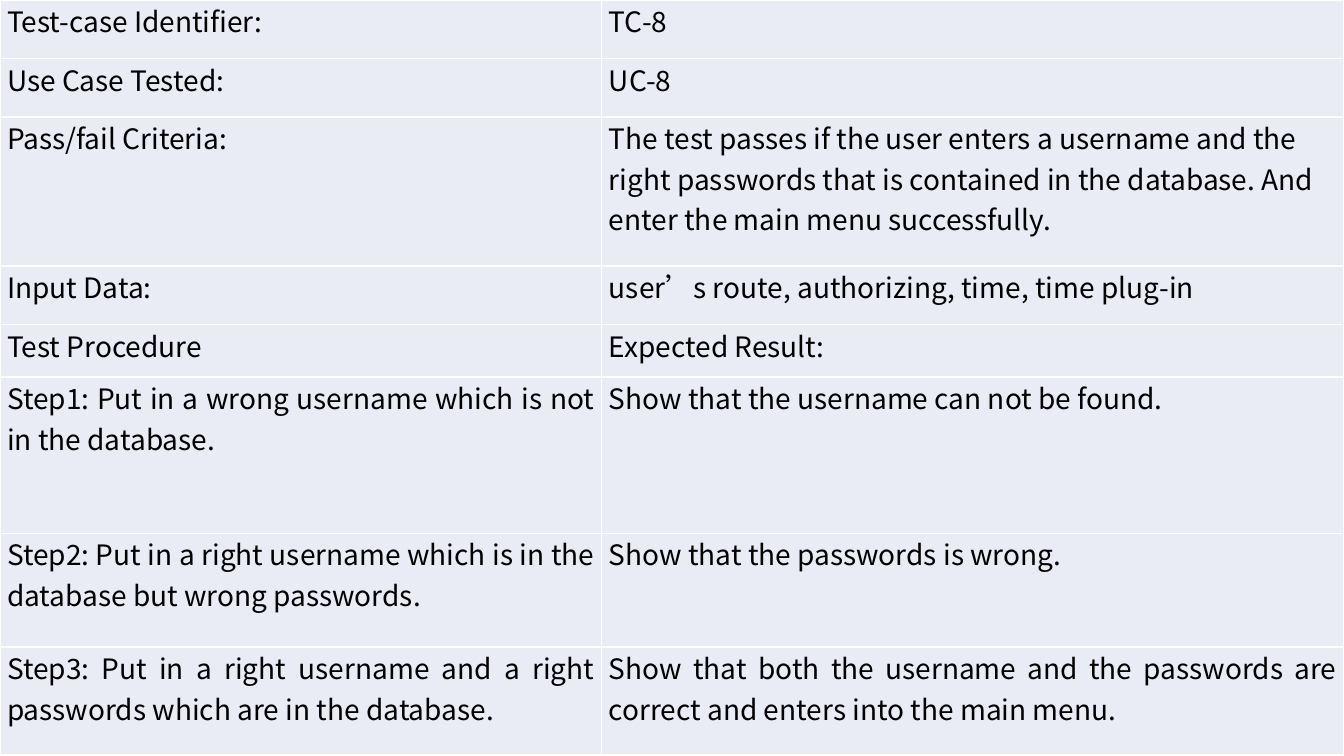
from lxml import etree
from pptx import Presentation
from pptx.dml.color import RGBColor
from pptx.enum.text import PP_ALIGN
from pptx.oxml.ns import qn
from pptx.util import Inches, Pt

JUSTIFY, LEFT = PP_ALIGN.JUSTIFY, PP_ALIGN.LEFT
FONT = "Noto Sans CJK SC"
COLORS = {"text": "000000", "cell": "E9EBF5", "border": "FFFFFF"}
COLUMN_WIDTHS = [5.97, 7.36]
CRITERIA = ("The test passes if the user enters a username and the right passwords "
            "that is contained in the database. And enter the main menu successfully.")

# Row height, field or step, value or expected result
TEST_CASE = [
    (0.58, "Test-case Identifier:", "TC-8"),
    (0.58, "Use Case Tested:", "UC-8"),
    (1.48, "Pass/fail Criteria:", CRITERIA),
    (0.58, "Input Data:", "user’s route, authorizing, time, time plug-in"),
    (0.52, "Test Procedure", "Expected Result:"),
    (1.55, "Step1: Put in a wrong username which is not in the database.",
     "Show that the username can not be found."),
    (1.13, "Step2: Put in a right username which is in the database but wrong passwords.",
     "Show that the passwords is wrong."),
    (1.07, "Step3: Put in a right username and a right passwords which are in the database.",
     "Show that both the username and the passwords are correct "
     "and enters into the main menu."),
]


def add_borders(cell):
    """Draw a thin line on all four sides of a cell."""
    properties = cell._tc.get_or_add_tcPr()
    for position, side in enumerate(("lnL", "lnR", "lnT", "lnB")):
        line = etree.Element(qn(f"a:{side}"), w=str(Pt(1)))
        fill = etree.SubElement(line, qn("a:solidFill"))
        etree.SubElement(fill, qn("a:srgbClr"), val=COLORS["border"])
        properties.insert(position, line)


def write_cell(cell, text):
    """Fill a cell and set its text, justified except for the criteria."""
    cell.fill.solid()
    cell.fill.fore_color.rgb = RGBColor.from_string(COLORS["cell"])
    cell.margin_left = cell.margin_right = Inches(0.07)
    cell.margin_top = cell.margin_bottom = 0
    paragraph = cell.text_frame.paragraphs[0]
    paragraph.alignment = LEFT if text == CRITERIA else JUSTIFY
    run = paragraph.add_run()
    run.text = text
    run.font.name = FONT
    run.font.size = Pt(20)
    run.font.bold = False
    run.font.color.rgb = RGBColor.from_string(COLORS["text"])
    # The East Asian face gives the apostrophe its full width
    etree.SubElement(run.font._element, qn("a:ea"), typeface=FONT)


presentation = Presentation()
presentation.slide_width = Inches(13.33)
presentation.slide_height = Inches(7.5)
slide = presentation.slides.add_slide(presentation.slide_layouts[6])

test_table = slide.shapes.add_table(
    len(TEST_CASE), len(COLUMN_WIDTHS), 0, 0, Inches(13.33), Inches(7.5)).table
test_table.first_row = False
test_table.horz_banding = False
for column, width in zip(test_table.columns, COLUMN_WIDTHS):
    column.width = Inches(width)

for row, (height, *texts) in zip(test_table.rows, TEST_CASE):
    row.height = Inches(height)
    for cell, text in zip(row.cells, texts):
        write_cell(cell, text)
        add_borders(cell)

presentation.save("out.pptx")
